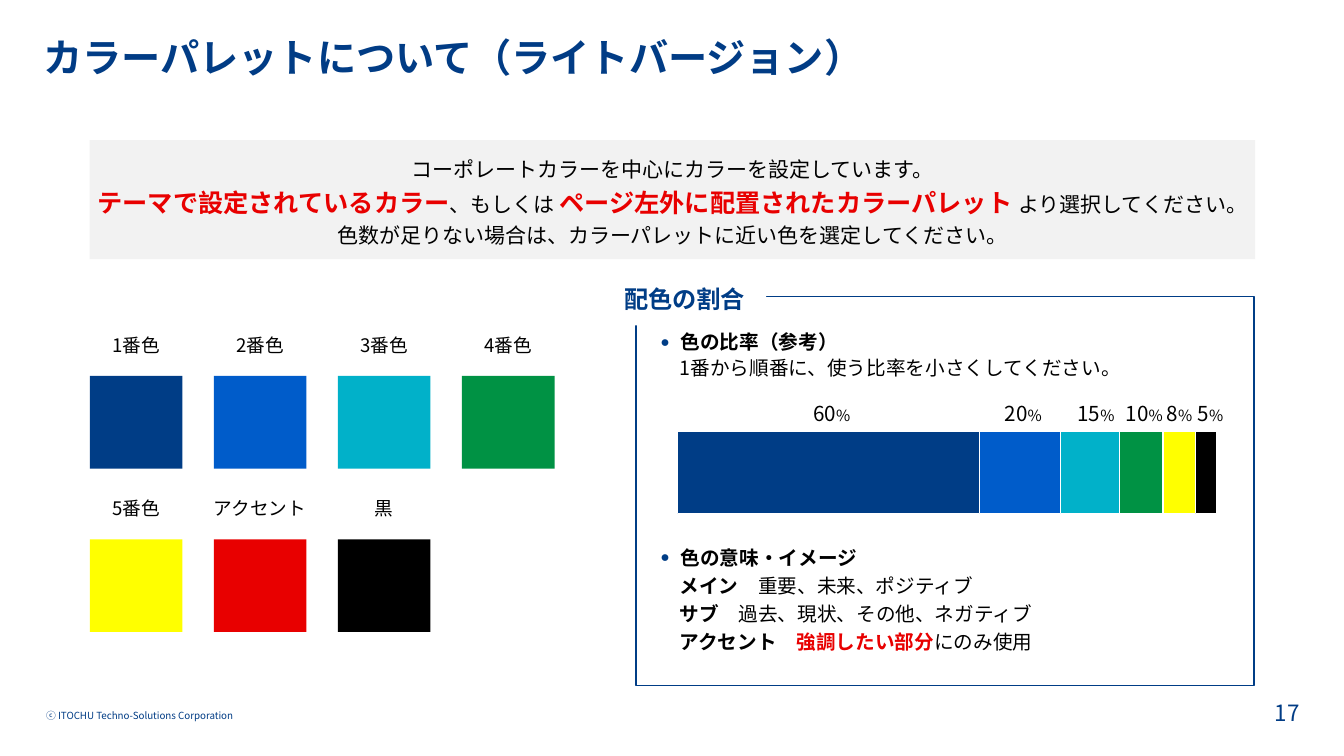
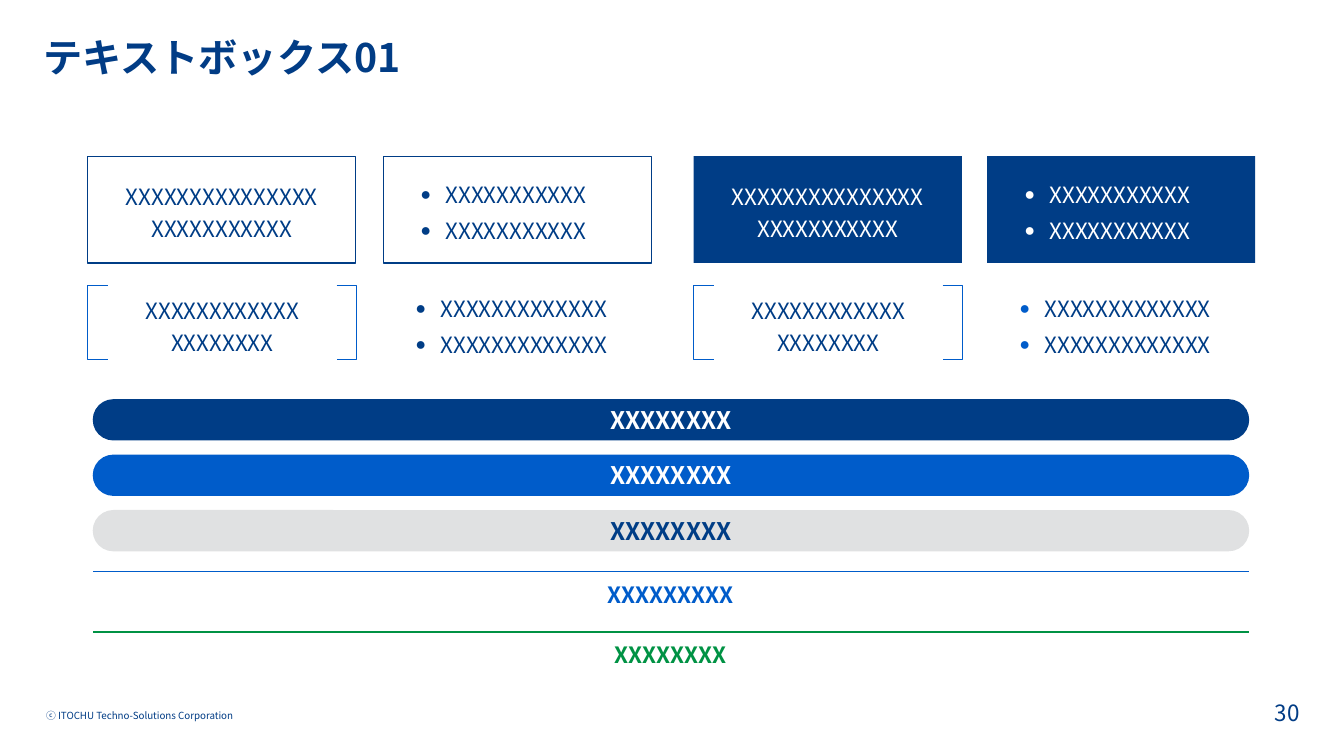
from lxml import etree
from pptx import Presentation
from pptx.chart.data import CategoryChartData
from pptx.dml.color import RGBColor
from pptx.enum.chart import XL_CHART_TYPE as CT
from pptx.enum.shapes import MSO_SHAPE as SH
from pptx.enum.text import MSO_ANCHOR as ANC, MSO_AUTO_SIZE as FIT, PP_ALIGN as AL
from pptx.oxml import parse_xml
from pptx.oxml.ns import nsdecls, qn
from pptx.util import Inches, Pt

FONT = "Noto Sans CJK JP"
C = {
    "title": "013C85", "navy": "003D86", "blue": "005CCA", "cyan": "01B1C9",
    "green": "009244", "yellow": "FFFF00", "red": "E80000", "black": "000000",
    "white": "FFFFFF", "pale": "F2F2F2", "gray": "E0E1E2",
}
FOOTER = "ⓒ ITOCHU Techno-Solutions Corporation"

# Palette slide
BIG = {"size": 18, "bold": True, "color": "red"}
BANNER = [
    [("コーポレートカラーを中心にカラーを設定しています。", {})],
    [("テーマで設定されているカラー", BIG), ("、もしくは ", {}),
     ("ページ左外に配置されたカラーパレット ", BIG), ("より選択してください。", {})],
    [("色数が足りない場合は、カラーパレットに近い色を選定してください。", {})],
]
SWATCHES = [
    [("1番色", "navy"), ("2番色", "blue"), ("3番色", "cyan"), ("4番色", "green")],
    [("5番色", "yellow"), ("アクセント", "red"), ("黒", "black")],
]
BOLD = {"bold": True}
HEAD = {"bullet": "navy", "indent": 0.2, "spacing": 1.1}
BODY = {"left": 0.19, "spacing": 1.2}
RATIO_NOTES = [
    ([("色の比率（参考）", BOLD)], HEAD),
    ([("1番から順番に、使う比率を小さくしてください。", {})], {**BODY, "spacing": 1.1}),
    ([("色の意味・イメージ", BOLD)], {**HEAD, "before": 117}),
    ([("メイン　", BOLD), ("重要、未来、ポジティブ", {})], BODY),
    ([("サブ　", BOLD), ("過去、現状、その他、ネガティブ", {})], BODY),
    ([("アクセント　", BOLD), ("強調したい部分", {"bold": True, "color": "red"}),
      ("にのみ使用", {})], BODY),
]
# share shown, label left, label width, chart value, colour
RATIOS = [
    ("60", 6.73, 3.04, 56, "navy"), ("20", 9.75, 0.8, 15, "blue"),
    ("15", 10.47, 0.8, 11, "cyan"), ("10", 11.07, 0.56, 8, "green"),
    ("8", 11.42, 0.56, 6, "yellow"), ("5", 11.85, 0.31, 4, "black"),
]

# Text box slide: left of each half, fill, text, line, colour of the loose bullets
HALVES = [
    ((0.87, 3.8), "white", "navy", "navy", "navy"),
    ((6.88, 9.79), "navy", "white", None, "blue"),
]
BARS = [("navy", "white"), ("blue", "white"), ("gray", "navy")]
RULED = [("XXXXXXXXX", "blue"), ("XXXXXXXX", "green")]


def rgb(name):
    return RGBColor.from_string(C[name])


def add_runs(p, runs, size, color, bold):
    for text, own in runs:
        r = p.add_run()
        r.text = text
        f = r.font
        f.name = FONT
        f.size = Pt(own.get("size", size))
        f.bold = own.get("bold", bold)
        f.color.rgb = rgb(own.get("color", color))
        ea = etree.SubElement(r._r.get_or_add_rPr(), qn("a:ea"))
        ea.set("typeface", FONT)


def format_paragraph(p, align=AL.LEFT, spacing=None, before=None, bullet=None,
                     indent=0, left=0):
    p.alignment = align
    if spacing:
        p.line_spacing = spacing
    if before:
        p.space_before = Pt(before)
    pPr = p._p.get_or_add_pPr()
    pPr.set("marL", str(Inches(left or indent)))
    pPr.set("indent", str(-Inches(indent)))
    if bullet:
        for xml in (f'<a:buClr {nsdecls("a")}><a:srgbClr val="{C[bullet]}"/></a:buClr>',
                    f'<a:buSzPct {nsdecls("a")} val="80000"/>',
                    f'<a:buFont {nsdecls("a")} typeface="Arial"/>',
                    f'<a:buChar {nsdecls("a")} char="●"/>'):
            pPr.append(parse_xml(xml))


def write(tf, paras, size=16, color="black", bold=False, anchor=ANC.TOP,
          ins=(0, 0, 0, 0), **para_fmt):
    """Fill a frame from a string or a list of (runs, paragraph format)."""
    if isinstance(paras, str):
        paras = [([(paras, {})], {})]
    tf.word_wrap = True
    tf.auto_size = FIT.NONE
    tf.vertical_anchor = anchor
    tf.margin_left, tf.margin_top, tf.margin_right, tf.margin_bottom = map(Inches, ins)
    for i, (runs, own) in enumerate(paras):
        p = tf.paragraphs[0] if i == 0 else tf.add_paragraph()
        format_paragraph(p, **{**para_fmt, **own})
        add_runs(p, runs, size, color, bold)


def add_text(s, box, paras, **fmt):
    tb = s.shapes.add_textbox(*map(Inches, box))
    write(tb.text_frame, paras, **fmt)


def add_shape(s, kind, box, fill=None, line=None, width=0.75):
    sp = s.shapes.add_shape(kind, *map(Inches, box))
    sp.shadow.inherit = False
    if fill:
        sp.fill.solid()
        sp.fill.fore_color.rgb = rgb(fill)
    else:
        sp.fill.background()
    if line:
        sp.line.color.rgb = rgb(line)
        sp.line.width = Pt(width)
    else:
        sp.line.fill.background()
    return sp


def new_slide(prs, title, number):
    s = prs.slides.add_slide(prs.slide_layouts[5])
    t = s.shapes.title
    t.left, t.top, t.width, t.height = map(Inches, (0.43, 0.38, 10.24, 0.47))
    write(t.text_frame, title, size=28, color="title", bold=True,
          ins=(0, 0, 0, 0.05), spacing=0.9)
    pad = (0.1, 0.05, 0.1, 0.05)
    add_text(s, (0.36, 6.99, 3, 0.36), FOOTER, size=7, color="title", ins=pad)
    add_text(s, (9.99, 6.92, 3, 0.33), str(number), color="title", ins=pad,
             anchor=ANC.BOTTOM, align=AL.RIGHT)
    return s


def add_ratio_chart(s):
    data = CategoryChartData()
    data.categories = ["1"]
    for i, ratio in enumerate(RATIOS, 1):
        data.add_series(f"Series {i}", [ratio[3]])
    box = map(Inches, (6.71, 3.67, 5.47, 2.06))
    chart = s.shapes.add_chart(CT.BAR_STACKED_100, *box, data).chart
    chart.has_legend = chart.has_title = False
    chart.font.name, chart.font.size = FONT, Pt(10)
    chart.font.color.rgb = rgb("navy")
    chart.category_axis.visible = chart.value_axis.visible = False
    chart.value_axis.has_major_gridlines = False
    plot = chart.plots[0]
    plot.gap_width, plot.overlap, plot.vary_by_categories = 150, 100, False
    for series, ratio in zip(plot.series, RATIOS):
        series.format.fill.solid()
        series.format.fill.fore_color.rgb = rgb(ratio[4])
        series.format.line.color.rgb = rgb("white")
        series.format.line.width = Pt(1)
    area = chart._chartSpace.chart.plotArea
    for old in area.findall(qn("c:layout")):
        area.remove(old)
    sizes = "".join(f'<c:{k} val="{v}"/>' for k, v in (
        ("layoutTarget", "inner"), ("xMode", "edge"), ("yMode", "edge"),
        ("x", 0), ("y", 0), ("w", 0.98), ("h", 0.99)))
    area.insert(0, parse_xml(f'<c:layout {nsdecls("c")}><c:manualLayout>{sizes}'
                             '</c:manualLayout></c:layout>'))


def add_ruled_heading(s, top, text, color):
    """One-cell table with a line along its top edge."""
    box = map(Inches, (0.92, top, 11.47, 0.44))
    table = s.shapes.add_table(1, 1, *box).table
    table.first_row = table.horz_banding = False
    cell = table.cell(0, 0)
    cell.fill.solid()
    cell.fill.fore_color.rgb = rgb("white")
    cell.vertical_anchor = ANC.MIDDLE
    cell.margin_left = cell.margin_right = Inches(0.31)
    cell.margin_top = cell.margin_bottom = 0
    p = cell.text_frame.paragraphs[0]
    format_paragraph(p, align=AL.CENTER)
    add_runs(p, [(text, {})], 16, color, True)
    cell._tc.get_or_add_tcPr().insert(0, parse_xml(
        f'<a:lnT {nsdecls("a")} w="{Pt(1)}"><a:solidFill>'
        f'<a:srgbClr val="{C[color]}"/></a:solidFill></a:lnT>'))


def palette_slide(prs):
    s = new_slide(prs, "カラーパレットについて（ライトバージョン）", 17)
    frame = add_shape(s, SH.RECTANGLE, (6.31, 2.94, 6.13, 3.86), "white", "navy", 1)
    write(frame.text_frame, RATIO_NOTES, size=14, ins=(0.24, 0.31, 0.24, 0))
    heading = add_shape(s, SH.RECTANGLE, (6.19, 2.7, 1.41, 0.53), "white")
    write(heading.text_frame, "配色の割合", size=17.3, color="navy", bold=True,
          anchor=ANC.MIDDLE, ins=(0, 0.05, 0.04, 0.05))
    add_ratio_chart(s)
    for share, left, width, *_ in RATIOS:
        label = [([(share, {}), ("%", {"size": 11})], {})]
        add_text(s, (left, 3.98, width, 0.36), label, size=14.7, align=AL.CENTER)
    for row, swatches in enumerate(SWATCHES):
        for col, (name, color) in enumerate(swatches):
            x, y = 0.89 + 1.23 * col, 3.3 + 1.62 * row
            add_text(s, (x - 0.01, y, 0.94, 0.24), name, size=13.3,
                     anchor=ANC.MIDDLE, align=AL.CENTER)
            add_shape(s, SH.RECTANGLE, (x, y + 0.43, 0.92, 0.92), color)
    banner = add_shape(s, SH.RECTANGLE, (0.89, 1.39, 11.56, 1.18), "pale")
    write(banner.text_frame, [(runs, {}) for runs in BANNER], size=15,
          anchor=ANC.MIDDLE, align=AL.CENTER, spacing=1.2)


def bullet_pair(text, color):
    fmt = {"bullet": color, "indent": 0.25}
    return [([(text, {})], fmt), ([(text, {})], {**fmt, "before": 2.7})]


def textbox_slide(prs):
    s = new_slide(prs, "テキストボックス01", 30)
    middle = {"anchor": ANC.MIDDLE, "spacing": 1.2}
    for (left, right), fill, color, line, dot in HALVES:
        boxes = [(left, "X" * 26, (0.33, 0, 0.33, 0), AL.CENTER),
                 (right, bullet_pair("X" * 11, color), (0.37, 0, 0.31, 0), AL.LEFT)]
        for x, paras, ins, align in boxes:
            sp = add_shape(s, SH.RECTANGLE, (x, 1.55, 2.66, 1.06), fill, line)
            write(sp.text_frame, paras, color=color, ins=ins, align=align, **middle)
        add_text(s, (left + 0.19, 2.86, 2.29, 0.7), "X" * 20, color="navy",
                 ins=(0.37, 0, 0.37, 0), align=AL.CENTER, **middle)
        for kind, x in ((SH.LEFT_BRACKET, left), (SH.RIGHT_BRACKET, left + 2.47)):
            bracket = add_shape(s, kind, (x, 2.83, 0.2, 0.74), line="blue")
            bracket.adjustments[0] = 0
        add_text(s, (right + 0.32, 2.89, 2.23, 0.65), bullet_pair("X" * 13, dot),
                 color="navy", **middle)
    for i, (fill, color) in enumerate(BARS):
        bar = add_shape(s, SH.ROUNDED_RECTANGLE, (0.92, 3.96 + 0.55 * i, 11.47, 0.41), fill)
        bar.adjustments[0] = 0.5
        write(bar.text_frame, "X" * 8, size=17.3, color=color, bold=True,
              anchor=ANC.MIDDLE, ins=(0.31, 0, 0.31, 0), align=AL.CENTER)
    for i, (text, color) in enumerate(RULED):
        add_ruled_heading(s, 5.67 + 0.6 * i, text, color)


def main():
    prs = Presentation()
    prs.slide_width, prs.slide_height = Inches(13.33), Inches(7.5)
    palette_slide(prs)
    textbox_slide(prs)
    prs.save("out.pptx")


if __name__ == "__main__":
    main()
